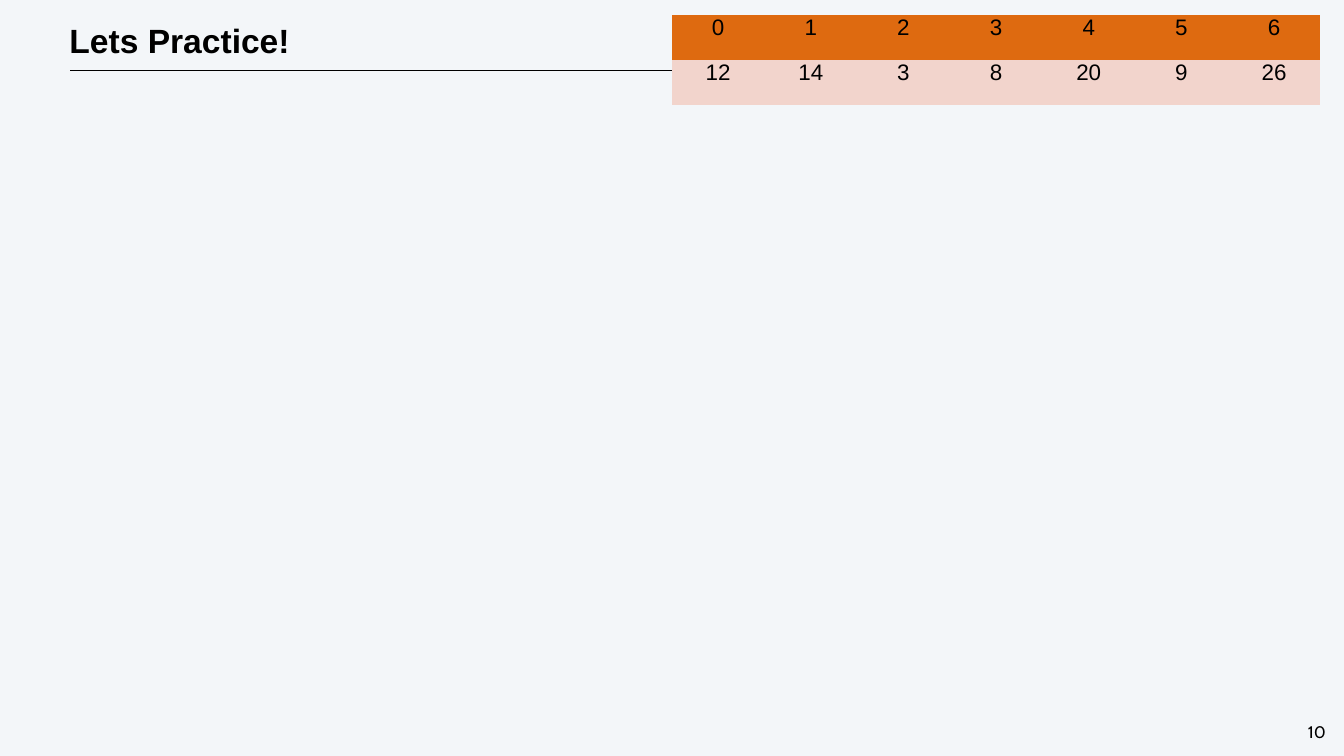
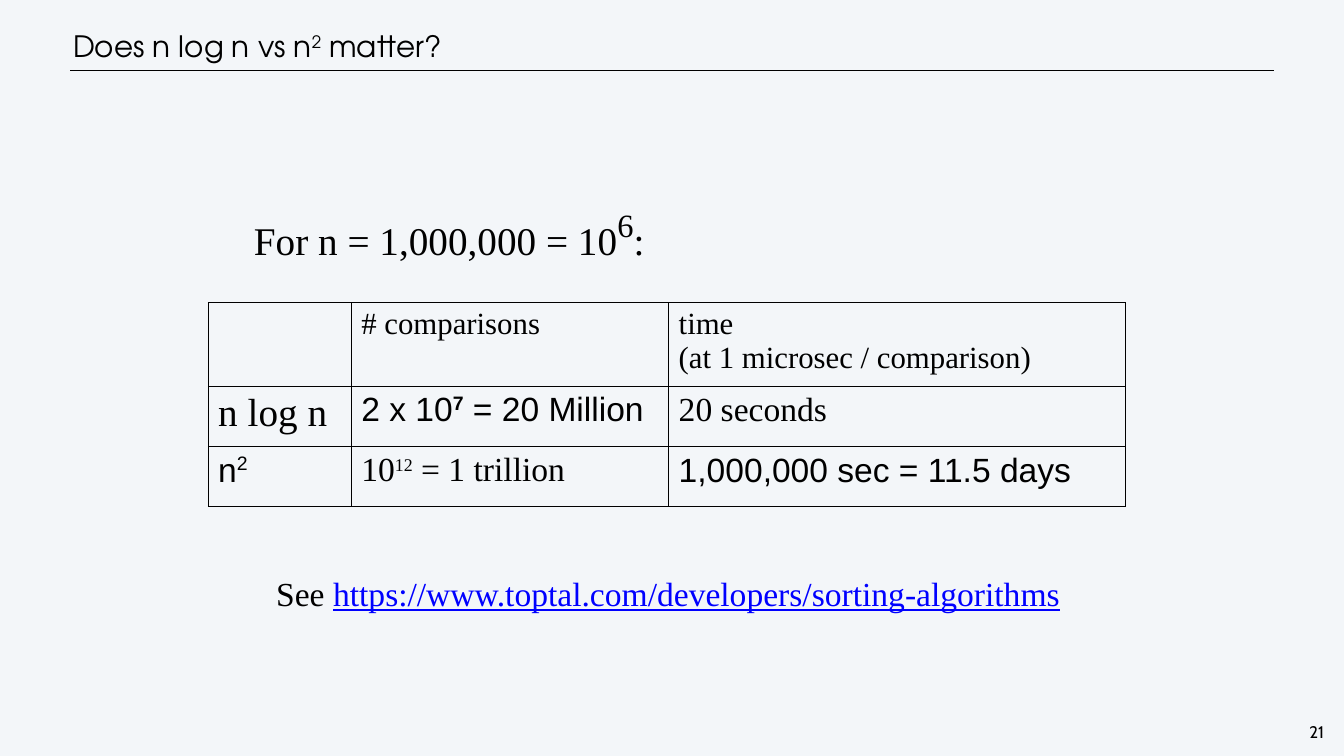
from lxml.etree import SubElement
from pptx import Presentation
from pptx.dml.color import RGBColor
from pptx.enum.shapes import MSO_CONNECTOR
from pptx.enum.text import MSO_ANCHOR, MSO_AUTO_SIZE, PP_ALIGN
from pptx.oxml.ns import qn
from pptx.util import Cm, Pt

PAPER = RGBColor(0xF3, 0xF6, 0xF9)
BLACK = RGBColor(0, 0, 0)
ORANGE = RGBColor(0xDE, 0x6A, 0x10)
PINK = RGBColor(0xF2, 0xD4, 0xCC)
BLUE = RGBColor(0, 0, 0xFF)
SANS, SERIF = "Arial", "Times New Roman"
NO_STYLE = "{2D5ABB26-0587-4C30-8999-92F81FD0307C}"


def write(para, face, *parts):
    """Add black runs, each given as (text, size) or (text, size, raised)."""
    for text, size, *raised in parts:
        run = para.add_run()
        run.text = text
        run.font.name = face
        run.font.size = Pt(size)
        run.font.color.rgb = BLACK
        if raised:
            run._r.get_or_add_rPr().set("baseline", "33000")


def grid(slide, left, top, widths, heights):
    """Add a table without style, sized by its columns and rows in cm."""
    frame = slide.shapes.add_table(
        len(heights), len(widths), Cm(left), Cm(top),
        Cm(sum(widths)), Cm(sum(heights)))
    table = frame.table
    table.first_row = table.horz_banding = False
    table._tbl.tblPr.find(qn("a:tableStyleId")).text = NO_STYLE
    for col, width in zip(table.columns, widths):
        col.width = Cm(width)
    for row, height in zip(table.rows, heights):
        row.height = Cm(height)
    for cell in table.iter_cells():
        cell.margin_left = cell.margin_right = Cm(0.51)
        cell.margin_top = cell.margin_bottom = Cm(0.25)
    return table


prs = Presentation()
prs.slide_width, prs.slide_height = Cm(67.74), Cm(38.1)
fill = prs.slide_master.background.fill
fill.solid()
fill.fore_color.rgb = PAPER

# Shared frame: title, rule and page number
pages = [
    ("10", (3.35, 0.84, 27.69, 2.34), SANS,
     [("Lets Practice!", 48)]),
    ("21", (3.53, 1.07, 57.45, 2.51), "TeX Gyre Adventor",
     [("Does n log n vs n", 42), ("2", 42, True), (" matter?", 42)]),
]
for number, place, face, parts in pages:
    slide = prs.slides.add_slide(prs.slide_layouts[5])

    rule = slide.shapes.add_connector(
        MSO_CONNECTOR.STRAIGHT, Cm(3.53), Cm(3.56), Cm(64.21), Cm(3.56))
    rule.line.color.rgb = BLACK
    rule.line.width = Pt(1)
    SubElement(rule._element.spPr, qn("a:effectLst"))

    title = slide.shapes.title
    title.left, title.top, title.width, title.height = map(Cm, place)
    frame = title.text_frame
    frame.auto_size = MSO_AUTO_SIZE.NONE
    frame.vertical_anchor = MSO_ANCHOR.MIDDLE
    frame.margin_left = frame.margin_right = Cm(0.15)
    frame.margin_top = frame.margin_bottom = Cm(0.15)
    para = frame.paragraphs[0]
    para.alignment = PP_ALIGN.LEFT
    write(para, face, *parts)

    box = slide.shapes.add_textbox(Cm(65.67), Cm(36.3), Cm(1.4), Cm(1.22))
    frame = box.text_frame
    frame.word_wrap = False
    frame.margin_left = frame.margin_right = Cm(0.1)
    frame.margin_top = frame.margin_bottom = Cm(0.1)
    para = frame.paragraphs[0]
    para.alignment = PP_ALIGN.CENTER
    para.line_spacing = Pt(28)
    write(para, "Cabin", (number, 24))

drill, growth = prs.slides
drill.shapes.title.text_frame.paragraphs[0].runs[0].font.bold = True
growth.shapes.title.text_frame.paragraphs[0].line_spacing = Pt(50)

# Slide 1: indexes above the values to sort
values = [12, 14, 3, 8, 20, 9, 26]
array = grid(drill, 33.86, 0.76, [4.67] * len(values), [2.28, 2.27])
for row, (items, shade) in enumerate(
        [(range(len(values)), ORANGE), (values, PINK)]):
    for col, item in enumerate(items):
        cell = array.cell(row, col)
        cell.margin_top = 0
        cell.fill.solid()
        cell.fill.fore_color.rgb = shade
        para = cell.text_frame.paragraphs[0]
        para.alignment = PP_ALIGN.CENTER
        write(para, SANS, (str(item), 32))

# Slide 2: cost of each growth rate
costs = grid(growth, 10.49, 15.24, [7.21, 16, 23.01], [4.24, 3.03, 3.02])
rows = [
    [(SERIF, []),
     (SERIF, [("# comparisons", 44)]),
     (SERIF, [("time", 44)])],
    [(SERIF, [("n log n", 56)]),
     (SANS, [("2 x 10", 48), ("7", 48, True), (" = 20 Million", 48)]),
     (SERIF, [("20 seconds", 48)])],
    [(SANS, [("n", 48), ("2", 48, True)]),
     (SERIF, [("10", 48), ("12", 44, True), (" = 1 trillion", 48)]),
     (SANS, [("1,000,000 sec = 11.5 days", 48)])],
]
for row, cells in enumerate(rows):
    for col, (face, parts) in enumerate(cells):
        cell = costs.cell(row, col)
        write(cell.text_frame.paragraphs[0], face, *parts)
        props = cell._tc.get_or_add_tcPr()
        for side in ("a:lnL", "a:lnR", "a:lnT", "a:lnB"):
            edge = SubElement(props, qn(side), w=str(Pt(1)))
            ink = SubElement(edge, qn("a:solidFill"))
            SubElement(ink, qn("a:srgbClr"), val=str(BLACK))
        cell.fill.background()
write(costs.cell(0, 2).text_frame.add_paragraph(), SERIF,
      ("(at 1 microsec / comparison)", 44))
costs.cell(1, 1).text_frame.paragraphs[0].runs[1].font.bold = True

notes = [
    ((12.29, 9.83, 21.01, 2.9),
     [("For n = 1,000,000 = 10", 56), ("6", 80, True), (":", 56)]),
    ((13.41, 28.63, 41.05, 2.57),
     [("See ", 48),
      ("https://www.toptal.com/developers/sorting-algorithms", 48)]),
]
for place, parts in notes:
    box = growth.shapes.add_textbox(*map(Cm, place))
    frame = box.text_frame
    frame.word_wrap = False
    frame.margin_left = frame.margin_right = Cm(0.51)
    frame.margin_top = frame.margin_bottom = Cm(0.25)
    write(frame.paragraphs[0], SERIF, *parts)
address = frame.paragraphs[0].runs[1].font
address.color.rgb = BLUE
address.underline = True

prs.save("out.pptx")
